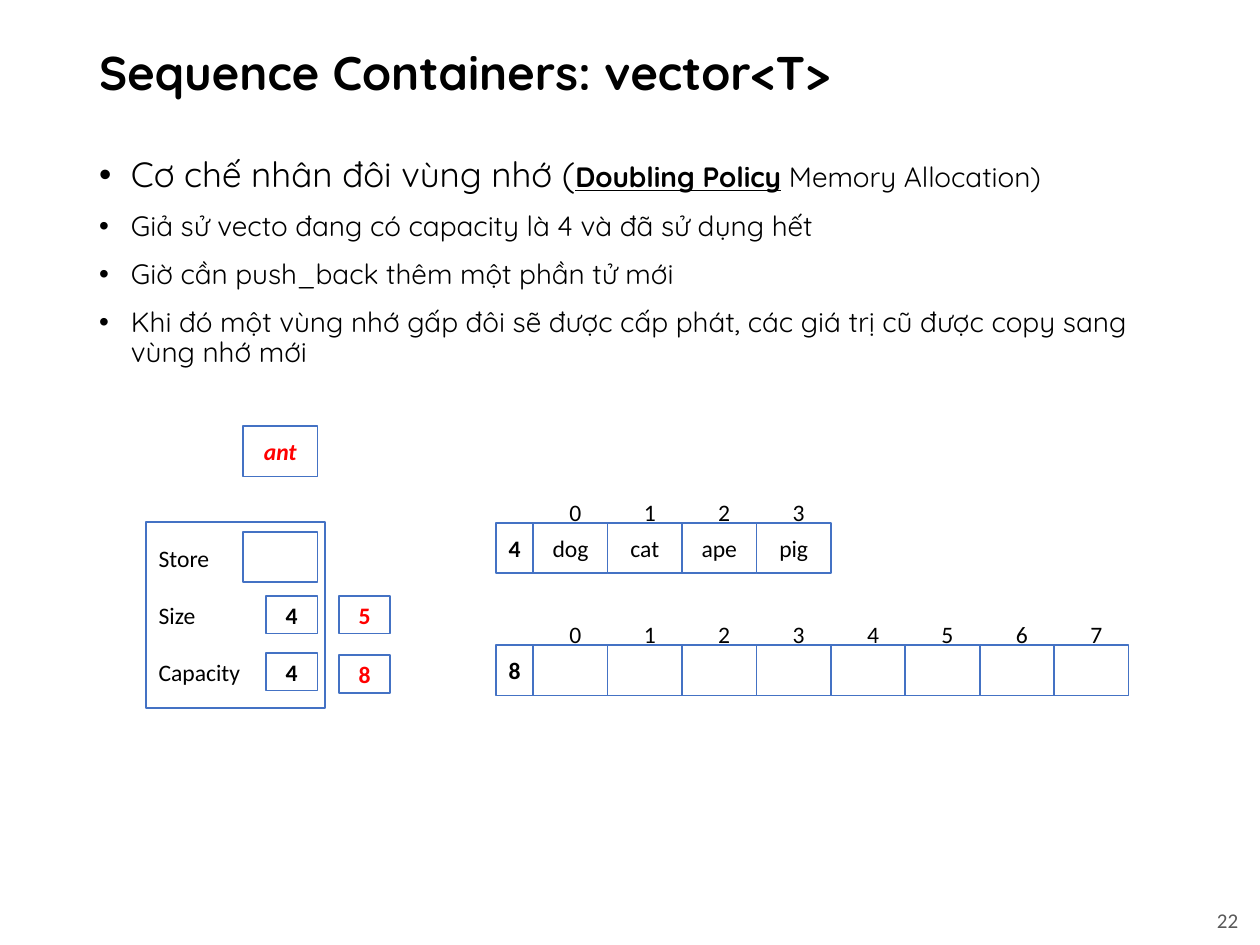
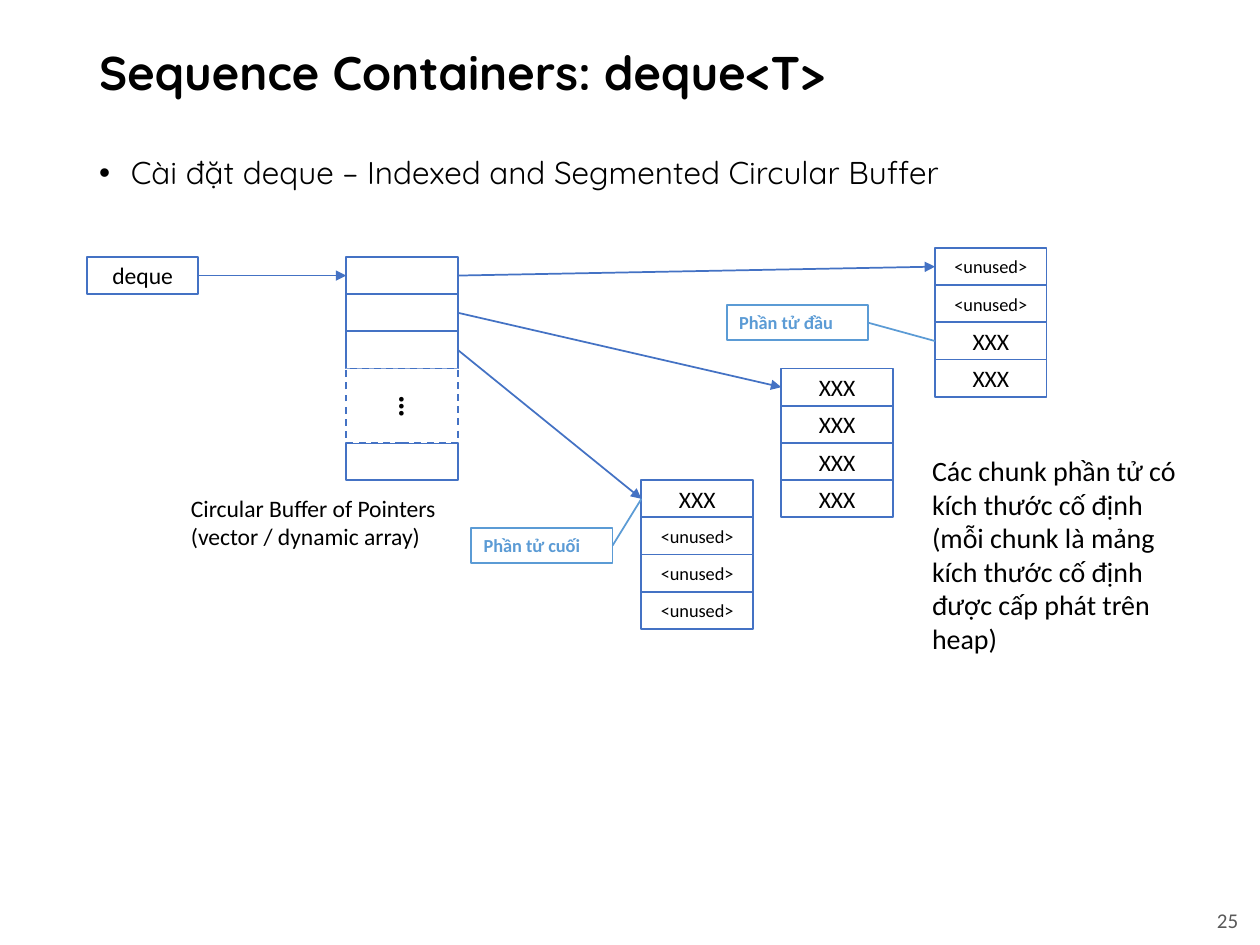
"""Build two slides on how vector and deque store their elements."""
from dataclasses import dataclass

from lxml import etree
from pptx import Presentation
from pptx.dml.color import RGBColor
from pptx.enum import dml, shapes, text
from pptx.oxml import ns
from pptx.util import Cm, Pt


@dataclass(frozen=True)
class Theme:
    """Colours, fonts and type sizes shared by the slides."""
    black: str = "000000"
    white: str = "FFFFFF"
    blue: str = "4472C4"
    light_blue: str = "5B9BD5"
    red: str = "FF0000"
    grey: str = "595959"
    heading_font: str = "Quicksand"
    diagram_font: str = "Calibri"
    title_size: float = 27
    lead_size: float = 20
    topic_size: float = 18
    bullet_size: float = 16
    note_size: float = 16
    diagram_size: float = 13.5
    page_size: float = 12
    small_size: float = 10.5


@dataclass(frozen=True)
class Run:
    """A stretch of text with one look."""
    words: str
    size: float = Theme.diagram_size
    color: str = Theme.black
    font: str = Theme.diagram_font
    bold: bool = False
    italic: bool = False
    underline: bool = False


THEME = Theme()
LEFT, MIDDLE_SIDE_LEFT, MIDDLE_SIDE_RIGHT = 1.75, 1, 3
CONTENT_WIDTH = 21.9
SLOT_WIDTH, SLOT_HEIGHT, COUNT_WIDTH = 1.5, 1.02, 0.75
FIELD_WIDTH, FIELD_HEIGHT = 1.04, 0.76
CELL_WIDTH, CELL_HEIGHT = 2.25, 0.75


def write(frame, paragraphs, align=text.PP_ALIGN.LEFT, anchor=text.MSO_ANCHOR.TOP,
          line_spacing=None, gap=0):
    """Fill a text frame with paragraphs, each a list of runs."""
    frame.word_wrap = True
    frame.vertical_anchor = anchor
    for index, runs in enumerate(paragraphs):
        paragraph = frame.paragraphs[0] if index == 0 else frame.add_paragraph()
        paragraph.alignment = align
        paragraph.line_spacing = line_spacing
        if index:
            paragraph.space_before = Pt(gap)
        for item in runs:
            run = paragraph.add_run()
            run.text = item.words
            font = run.font
            font.name, font.size = item.font, Pt(item.size)
            font.bold, font.italic, font.underline = item.bold, item.italic, item.underline
            font.color.rgb = RGBColor.from_string(item.color)


def add_label(slide, left, top, width, height, paragraphs, **layout):
    """Add a text box."""
    label = slide.shapes.add_textbox(Cm(left), Cm(top), Cm(width), Cm(height))
    write(label.text_frame, paragraphs, **layout)
    return label


def add_box(slide, left, top, width, height, run=None, color=THEME.blue,
            align=text.PP_ALIGN.CENTER):
    """Add a white outlined rectangle, with text if a run is given."""
    box = slide.shapes.add_shape(shapes.MSO_SHAPE.RECTANGLE,
                                 Cm(left), Cm(top), Cm(width), Cm(height))
    box.shadow.inherit = False
    box.fill.solid()
    box.fill.fore_color.rgb = RGBColor.from_string(THEME.white)
    box.line.color.rgb = RGBColor.from_string(color)
    box.line.width = Pt(1)
    if run:
        write(box.text_frame, [[run]], align, text.MSO_ANCHOR.MIDDLE)
    return box


def add_link(slide, source, target, color=THEME.blue, arrow=True):
    """Join the right side of one box to the left side of another."""
    link = slide.shapes.add_connector(shapes.MSO_CONNECTOR.STRAIGHT, 0, 0, 0, 0)
    link.begin_connect(source, MIDDLE_SIDE_RIGHT)
    link.end_connect(target, MIDDLE_SIDE_LEFT)
    link.line.color.rgb = RGBColor.from_string(color)
    link.line.width = Pt(1)
    if arrow:
        etree.SubElement(link.line._get_or_add_ln(), ns.qn("a:tailEnd"), type="triangle")
    etree.SubElement(link._element.spPr, ns.qn("a:effectLst"))


def add_bullets(slide, paragraphs):
    """Add the bulleted body text."""
    body = add_label(slide, LEFT, 3.05, CONTENT_WIDTH, 13.84, paragraphs,
                     line_spacing=0.9, gap=10)
    for paragraph in body.text_frame.paragraphs:
        properties = paragraph._p.get_or_add_pPr()
        properties.set("marL", str(Cm(0.64)))
        properties.set("indent", str(-Cm(0.64)))
        etree.SubElement(properties, ns.qn("a:buFont"), typeface="Arial")
        etree.SubElement(properties, ns.qn("a:buChar"), char="•")


def add_content_slide(presentation, title, page, bullets):
    """Add a slide with its title, bullets and page number."""
    slide = presentation.slides.add_slide(presentation.slide_layouts[6])
    heading = Run(title, THEME.title_size, font=THEME.heading_font, bold=True)
    add_label(slide, LEFT, 0.41, CONTENT_WIDTH, 2.21, [[heading]],
              anchor=text.MSO_ANCHOR.MIDDLE, line_spacing=0.9)
    add_bullets(slide, bullets)
    add_label(slide, 22.03, 18.03, 3.18, 1.02, [[Run(page, THEME.page_size, THEME.grey)]],
              align=text.PP_ALIGN.RIGHT, anchor=text.MSO_ANCHOR.MIDDLE)
    return slide


def add_array(slide, top, values):
    """Draw an array: its capacity, then numbered slots."""
    left = 10
    add_box(slide, left, top, COUNT_WIDTH, SLOT_HEIGHT, Run(str(len(values)), bold=True))
    for index, value in enumerate(values):
        slot_left = left + COUNT_WIDTH + index * SLOT_WIDTH
        add_box(slide, slot_left, top, SLOT_WIDTH, SLOT_HEIGHT, Run(value) if value else None)
        add_label(slide, slot_left + 0.48, top - 0.63, 0.61, 0.84, [[Run(str(index))]])


def add_stack(slide, left, top, values):
    """Draw cells one below another and return them."""
    cells = []
    for index, value in enumerate(values):
        size = THEME.small_size if value == "<unused>" else THEME.diagram_size
        cells.append(add_box(slide, left, top + index * CELL_HEIGHT, CELL_WIDTH, CELL_HEIGHT,
                             Run(value, size) if value else None))
    return cells


def add_marker(slide, left, top, words, target):
    """Add a light blue tag joined to the cell it names."""
    tag = add_box(slide, left, top, 2.85, 0.71,
                  Run(words, THEME.small_size, THEME.light_blue, bold=True),
                  THEME.light_blue, text.PP_ALIGN.LEFT)
    add_link(slide, tag, target, THEME.light_blue, arrow=False)


def build_vector_slide(presentation):
    """Show a vector doubling its memory."""
    def bullet(words, size=THEME.bullet_size, **look):
        return Run(words, size, font=THEME.heading_font, **look)

    slide = add_content_slide(presentation, "Sequence Containers: vector<T>", "22", [
        [bullet("Cơ chế nhân đôi vùng nhớ (", THEME.lead_size),
         bullet("Doubling Policy", bold=True, underline=True),
         bullet(" Memory Allocation)")],
        [bullet("Giả sử vecto đang có capacity là 4 và đã sử dụng hết")],
        [bullet("Giờ cần push_back thêm một phần tử mới")],
        [bullet("Khi đó một vùng nhớ gấp đôi sẽ được cấp phát, "
                "các giá trị cũ được copy sang vùng nhớ mới")],
    ])
    record = add_box(slide, 2.95, 10.52, 3.61, 3.76)
    write(record.text_frame, [[Run(name)] for name in ("Store", "Size", "Capacity")],
          anchor=text.MSO_ANCHOR.MIDDLE, gap=16.5)
    add_box(slide, 4.9, 10.72, SLOT_WIDTH, SLOT_HEIGHT)
    add_box(slide, 4.9, 8.59, SLOT_WIDTH, SLOT_HEIGHT,
            Run("ant", color=THEME.red, bold=True, italic=True))
    for left, top, value, color in ((5.36, 12.01, "4", THEME.black),
                                    (5.36, 13.16, "4", THEME.black),
                                    (6.83, 12.01, "5", THEME.red),
                                    (6.83, 13.21, "8", THEME.red)):
        add_box(slide, left, top, FIELD_WIDTH, FIELD_HEIGHT, Run(value, color=color, bold=True))
    add_array(slide, 10.54, ["dog", "cat", "ape", "pig"])
    add_array(slide, 13, [""] * 8)


def build_deque_slide(presentation):
    """Show a deque as a buffer of pointers to chunks."""
    topic = Run("Cài đặt deque – Indexed and Segmented Circular Buffer",
                THEME.topic_size, font=THEME.heading_font)
    slide = add_content_slide(presentation, "Sequence Containers: deque<T>", "25", [[topic]])

    buffer_left, buffer_top = 6.98, 5.18
    gap_top = buffer_top + 3 * CELL_HEIGHT
    owner = add_box(slide, LEFT, buffer_top, CELL_WIDTH, CELL_HEIGHT, Run("deque"))
    pointers = add_stack(slide, buffer_left, buffer_top, [""] * 3)
    add_stack(slide, buffer_left, gap_top + 2 * CELL_HEIGHT, [""])
    skipped = add_box(slide, buffer_left, gap_top, CELL_WIDTH, 2 * CELL_HEIGHT)
    skipped.line.dash_style = dml.MSO_LINE.DASH
    dots = add_label(slide, 7.92, 7.59, 0.76, 1.02,
                     [[Run("…", THEME.topic_size, bold=True)]])
    dots.rotation = 90

    first = add_stack(slide, 18.85, 5, ["<unused>", "<unused>", "XXX", "XXX"])
    middle = add_stack(slide, 15.75, gap_top, ["XXX"] * 4)
    last = add_stack(slide, 12.93, 9.68, ["XXX"] + ["<unused>"] * 3)

    add_link(slide, owner, pointers[0])
    for pointer, chunk in zip(pointers, (first, middle, last)):
        add_link(slide, pointer, chunk[0])
    add_marker(slide, 14.65, 6.15, "Phần tử đầu", first[2])
    add_marker(slide, 9.5, 10.64, "Phần tử cuối", last[0])

    add_label(slide, 3.6, 9.83, 5.94, 1.42, [[Run("Circular Buffer of Pointers")],
                                            [Run("(vector / dynamic array)")]])
    add_label(slide, 18.54, 9.02, 5.82, 4.37, [
        [Run("Các chunk phần tử có kích thước cố định", THEME.note_size)],
        [Run("(mỗi chunk là mảng kích thước cố định được cấp phát trên heap)",
             THEME.note_size)],
    ])


def main():
    """Build and save the presentation."""
    presentation = Presentation()
    presentation.slide_width, presentation.slide_height = Cm(25.4), Cm(19.05)
    build_vector_slide(presentation)
    build_deque_slide(presentation)
    presentation.save("out.pptx")


if __name__ == "__main__":
    main()
